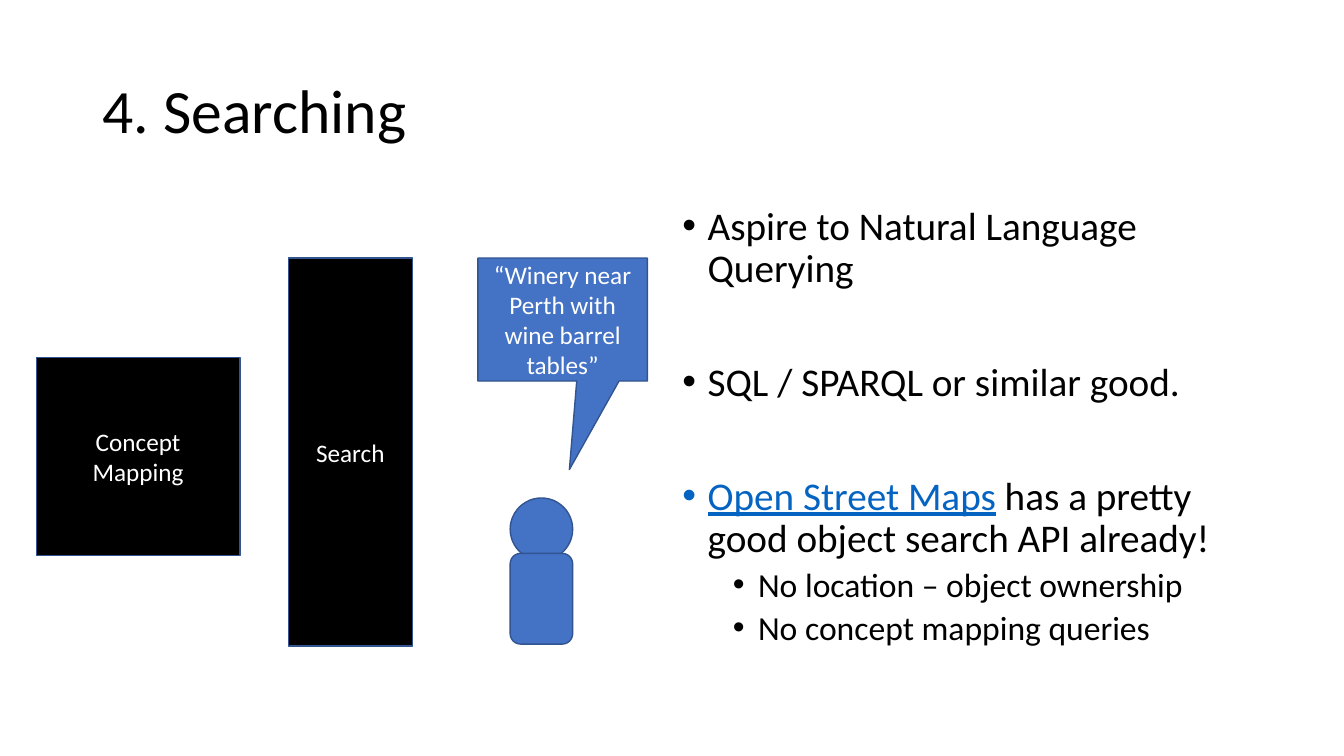
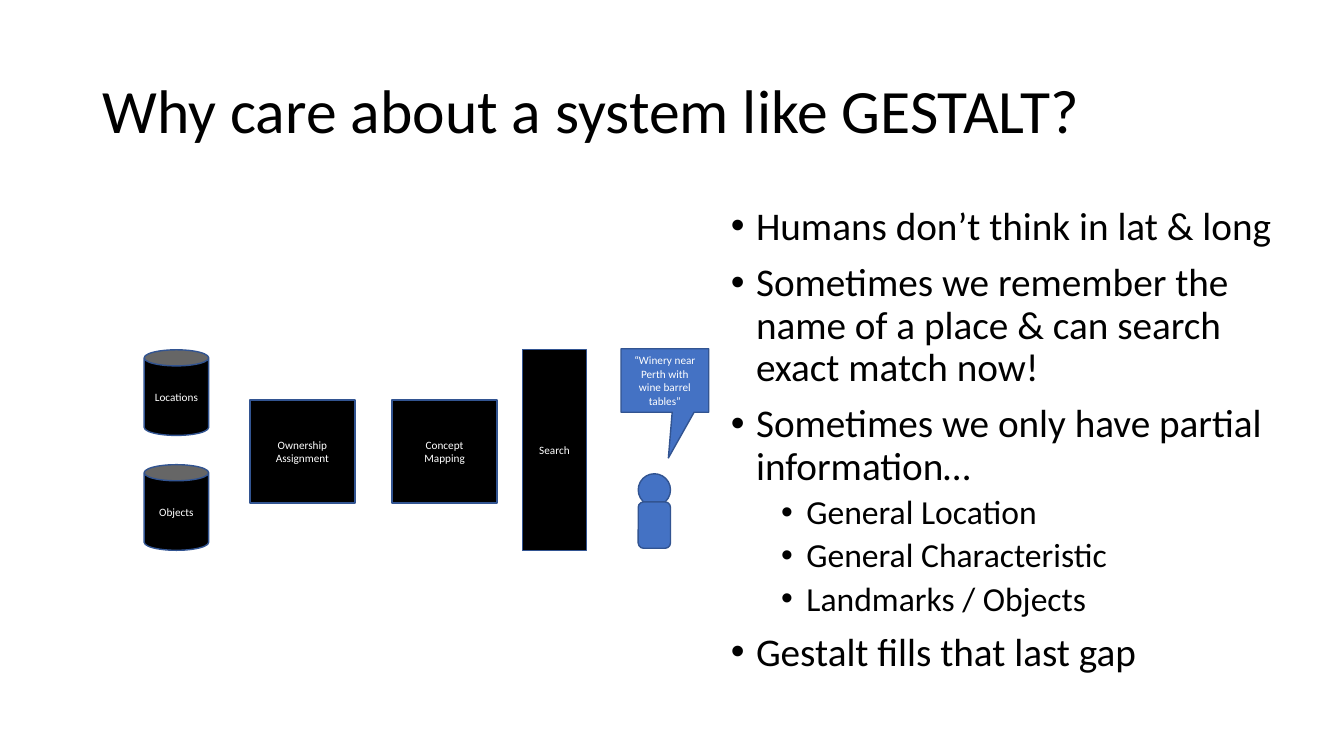
from dataclasses import dataclass

from lxml import etree
from pptx import Presentation
from pptx.dml.color import RGBColor
from pptx.enum.shapes import MSO_SHAPE
from pptx.enum.text import MSO_ANCHOR, PP_ALIGN
from pptx.oxml.ns import qn
from pptx.util import Emu, Pt

RECT, CAN = MSO_SHAPE.RECTANGLE, MSO_SHAPE.CAN
OVAL, ROUNDED = MSO_SHAPE.OVAL, MSO_SHAPE.ROUNDED_RECTANGLE
CALLOUT = MSO_SHAPE.RECTANGULAR_CALLOUT
MIDDLE, TOP = MSO_ANCHOR.MIDDLE, MSO_ANCHOR.TOP
LEFT, CENTER = PP_ALIGN.LEFT, PP_ALIGN.CENTER


@dataclass(frozen=True)
class Theme:
    font: str = "Calibri"
    text: str = "000000"
    link: str = "0563C1"
    label: str = "FFFFFF"
    block: str = "000000"
    person: str = "4472C4"
    outline: str = "325491"
    title_size: int = 44
    body_sizes: tuple = (28, 24)
    space_before: tuple = (10, 5)
    line_spacing: float = 0.9


THEME = Theme()
PX = 9144  # EMU per px, 100 px to the inch
SLIDE_SIZE = (1333, 750)
TITLE_BOX = (92, 40, 1150, 145)
WIDE_GAP = 51  # points before a bullet that starts a new topic
BULLET_INDENT = 25
LEVEL_INDENT = 50

QUERY = "“Winery near Perth with wine barrel tables”"
MAPPING = "Concept\nMapping"

# bullets: (level, runs, optional space before); a run is (text, is_link)
# blocks: (shape, label, box); person: (left, top, head size)
SLIDES = [
    {
        "title": "4. Searching",
        "body_box": (667, 200, 575, 476),
        "bullets": [
            (0, [("Aspire to Natural Language Querying", False)]),
            (0, [("SQL / SPARQL or similar good.", False)], WIDE_GAP),
            (0, [("Open Street Maps", True),
                 (" has a pretty good object search API already!", False)],
             WIDE_GAP),
            (1, [("No location – object ownership", False)]),
            (1, [("No concept mapping queries", False)]),
        ],
        "label_size": 18,
        "blocks": [
            (RECT, "Search", (286, 256, 123, 385)),
            (RECT, MAPPING, (36, 355, 202, 196)),
        ],
        "person": (506, 494, 62),
        "callout": (474, 256, 168, 122),
    },
    {
        "title": "Why care about a system like GESTALT?",
        "body_box": (715, 200, 568, 476),
        "bullets": [
            (0, [("Humans don’t think in lat & long", False)]),
            (0, [("Sometimes we remember the name of a place & can search "
                  "exact match now!", False)]),
            (0, [("Sometimes we only have partial information…", False)]),
            (1, [("General Location", False)]),
            (1, [("General Characteristic", False)]),
            (1, [("Landmarks / Objects", False)]),
            (0, [("Gestalt fills that last gap", False)]),
        ],
        "label_size": 8,
        "blocks": [
            (CAN, "Locations", (143, 347, 64, 85)),
            (CAN, "Objects", (143, 461, 64, 85)),
            (RECT, "Ownership\nAssignment", (248, 397, 104, 102)),
            (RECT, "Search", (518, 347, 64, 199)),
            (RECT, MAPPING, (389, 397, 104, 102)),
        ],
        "person": (633, 470, 32),
        "callout": (616, 346, 87, 63),
    },
]


def emu(box):
    return [Emu(v * PX) for v in box]


def rgb(color):
    return RGBColor.from_string(color)


def write(p, text, size, color=THEME.text, align=LEFT, underline=None):
    """Append text to a paragraph, turning newlines into line breaks."""
    p.alignment = align
    for i, line in enumerate(text.split("\n")):
        if i:
            p.add_line_break()
        r = p.add_run()
        r.text = line
        r.font.name = THEME.font
        r.font.size = Pt(size)
        r.font.color.rgb = rgb(color)
        r.font.underline = underline


def add_text_box(s, box, anchor):
    tf = s.shapes.add_textbox(*emu(box)).text_frame
    tf.word_wrap = True
    tf.vertical_anchor = anchor
    return tf


def set_bullet(p, level):
    pPr = p._p.get_or_add_pPr()
    pPr.set("marL", str((BULLET_INDENT + LEVEL_INDENT * level) * PX))
    pPr.set("indent", str(-BULLET_INDENT * PX))
    etree.SubElement(pPr, qn("a:buFont"), typeface="Arial")
    etree.SubElement(pPr, qn("a:buChar"), char="•")


def add_title(s, title):
    p = add_text_box(s, TITLE_BOX, MIDDLE).paragraphs[0]
    p.line_spacing = THEME.line_spacing
    write(p, title, THEME.title_size)


def add_bullets(s, box, bullets):
    tf = add_text_box(s, box, TOP)
    for i, (level, runs, *gap) in enumerate(bullets):
        p = tf.add_paragraph() if i else tf.paragraphs[0]
        set_bullet(p, level)
        p.level = level
        p.line_spacing = THEME.line_spacing
        space = gap[0] if gap else THEME.space_before[level]
        p.space_before = Pt(space if i else 0)
        for text, is_link in runs:
            write(p, text, THEME.body_sizes[level],
                  color=THEME.link if is_link else THEME.text,
                  underline=True if is_link else None)


def add_figure(s, shape, box, fill, label="", size=None, wrap=False):
    sp = s.shapes.add_shape(shape, *emu(box))
    sp.shadow.inherit = False
    sp.fill.solid()
    sp.fill.fore_color.rgb = rgb(fill)
    sp.line.color.rgb = rgb(THEME.outline)
    sp.line.width = Pt(1)
    if label:
        tf = sp.text_frame
        tf.word_wrap = wrap
        tf.vertical_anchor = MIDDLE
        write(tf.paragraphs[0], label, size, color=THEME.label, align=CENTER)
    return sp


def add_person(s, left, top, head):
    torso_top = top + round(head * 0.88)
    parts = [
        add_figure(s, OVAL, (left, top, head, head), THEME.person),
        add_figure(s, ROUNDED, (left, torso_top, head, round(head * 1.45)),
                   THEME.person),
    ]
    s.shapes.add_group_shape(parts)


def add_callout(s, box, size):
    sp = add_figure(s, CALLOUT, box, THEME.person, QUERY, size, wrap=True)
    sp.adjustments[0] = 0.04
    sp.adjustments[1] = 1.22


def main():
    prs = Presentation()
    prs.slide_width, prs.slide_height = emu(SLIDE_SIZE)
    for content in SLIDES:
        s = prs.slides.add_slide(prs.slide_layouts[6])
        add_title(s, content["title"])
        add_bullets(s, content["body_box"], content["bullets"])
        for shape, label, box in content["blocks"]:
            add_figure(s, shape, box, THEME.block, label,
                       content["label_size"])
        add_person(s, *content["person"])
        add_callout(s, content["callout"], content["label_size"])
    prs.save("out.pptx")


if __name__ == "__main__":
    main()
